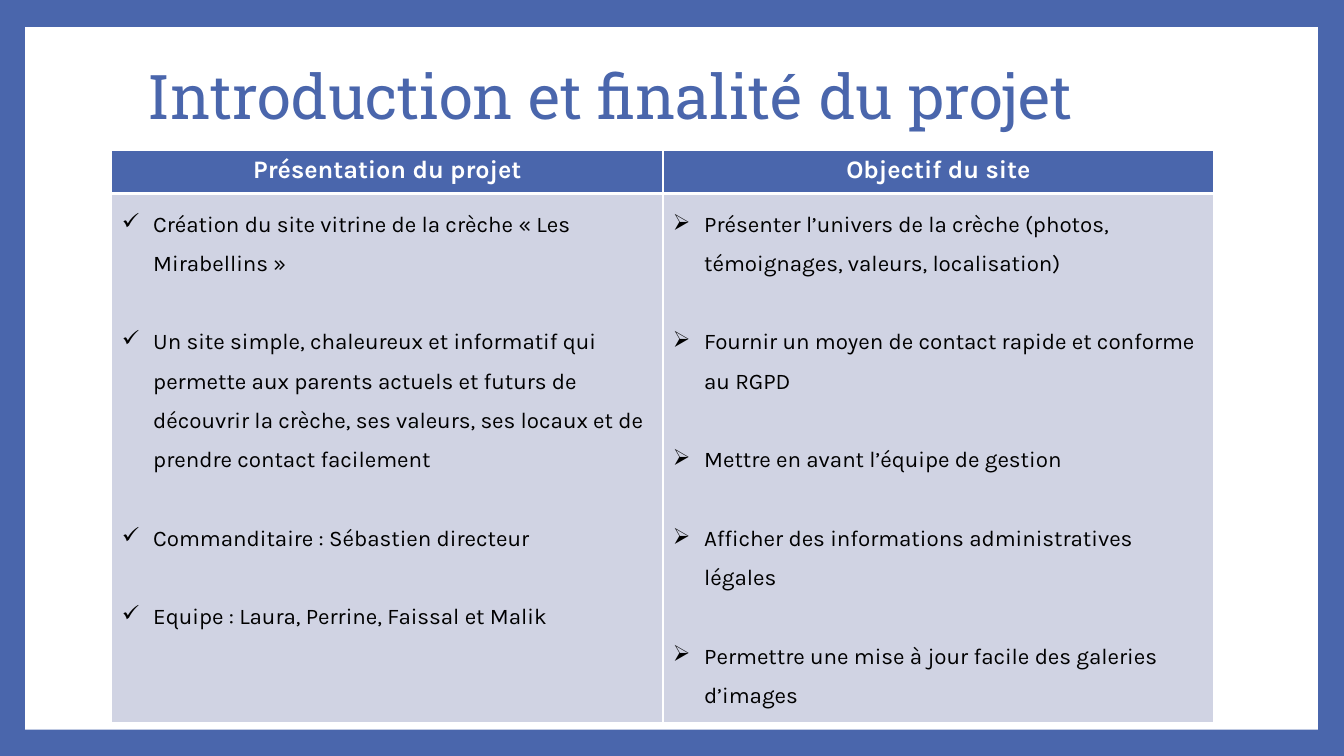
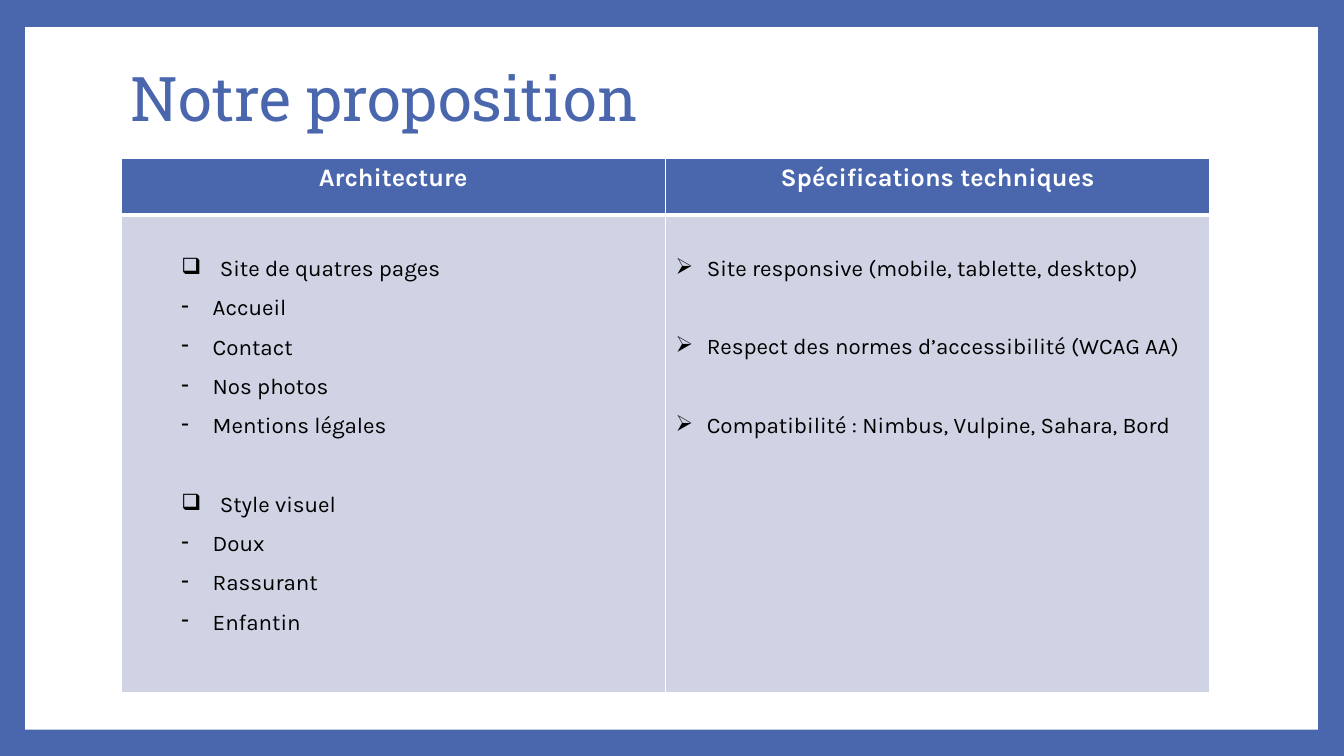
"""Build two framed slides, each with a title and a two-column table."""
from lxml.etree import SubElement
from pptx import Presentation
from pptx.dml.color import RGBColor
from pptx.enum.shapes import MSO_SHAPE
from pptx.enum.text import MSO_ANCHOR, PP_ALIGN
from pptx.oxml.ns import qn
from pptx.util import Inches, Pt

BLUE = RGBColor(0x4A, 0x66, 0xAC)
PALE = RGBColor(0xD0, 0xD3, 0xE3)
WHITE = RGBColor(0xFF, 0xFF, 0xFF)
BLACK = RGBColor(0x00, 0x00, 0x00)
TITLE_FONT = "Roboto Slab"
BODY_FONT = "Karla"
ITEM_GAP = Pt(28)

BULLETS = {
    "check": {"mark": "✓", "level": 0, "left": 0.31, "hang": 0.31},
    "arrow": {"mark": "➢", "level": 0, "left": 0.31, "hang": 0.31},
    "box": {"mark": "❑", "level": 1, "left": 0.88, "hang": 0.38},
    "dash": {"mark": "-", "level": 1, "left": 0.81, "hang": 0.31},
}

SLIDES = [
    {
        "title": "Introduction et finalité du projet",
        "title_at": (0.66, 0.25),
        "title_align": PP_ALIGN.CENTER,
        "table_at": (1.11, 1.49),
        "table_width": 10.93,
        "row_heights": (0.43, 5.09),
        "body_top": 0.05,
        "columns": [
            ("Présentation du projet", [
                ("check", "Création du site vitrine de la crèche « Les Mirabellins »"),
                ("check", "Un site simple, chaleureux et informatif qui permette aux "
                          "parents actuels et futurs de découvrir la crèche, ses valeurs, "
                          "ses locaux et de prendre contact facilement"),
                ("check", "Commanditaire : Sébastien directeur"),
                ("check", "Equipe : Laura, Perrine, Faissal et Malik"),
            ]),
            ("Objectif du site", [
                ("arrow", "Présenter l’univers de la crèche (photos, témoignages, "
                          "valeurs, localisation)"),
                ("arrow", "Fournir un moyen de contact rapide et conforme au RGPD"),
                ("arrow", "Mettre en avant l’équipe de gestion"),
                ("arrow", "Afficher des informations administratives légales"),
                ("arrow", "Permettre une mise à jour facile des galeries d’images"),
            ]),
        ],
    },
    {
        "title": "Notre proposition",
        "title_at": (1.2, 0.27),
        "title_align": PP_ALIGN.LEFT,
        "table_at": (1.2, 1.57),
        "table_width": 10.8,
        "row_heights": (0.56, 4.74),
        "body_top": 0.28,
        "columns": [
            ("Architecture", [
                ("box", "Site de quatres pages"),
                ("dash", "Accueil"),
                ("dash", "Contact"),
                ("dash", "Nos photos"),
                ("dash", "Mentions légales"),
                ("box", "Style visuel"),
                ("dash", "Doux"),
                ("dash", "Rassurant"),
                ("dash", "Enfantin"),
            ]),
            ("Spécifications techniques", [
                ("arrow", "Site responsive (mobile, tablette, desktop)"),
                ("arrow", "Respect des normes d’accessibilité (WCAG AA)"),
                ("arrow", "Compatibilité : Nimbus, Vulpine, Sahara, Bord"),
            ]),
        ],
    },
]


def set_font(para, name, size, color, bold=False):
    para.font.name = name
    para.font.size = Pt(size)
    para.font.color.rgb = color
    para.font.bold = bold


def style_cell(cell, fill, **thick_sides):
    properties = cell._tc.get_or_add_tcPr()
    for side in ("lnL", "lnR", "lnT", "lnB"):
        width = Pt(thick_sides.get(side, 1))
        line = SubElement(properties, qn(f"a:{side}"), w=str(width))
        solid = SubElement(line, qn("a:solidFill"))
        SubElement(solid, qn("a:srgbClr"), val=str(WHITE))
    cell.fill.solid()
    cell.fill.fore_color.rgb = fill


def set_bullet(para, mark, level, left, hang):
    para.level = level
    properties = para._p.get_or_add_pPr()
    properties.set("marL", str(Inches(left)))
    properties.set("indent", str(-Inches(hang)))
    SubElement(properties, qn("a:buChar"), char=mark)


def fill_header(cell, heading):
    style_cell(cell, BLUE, lnB=3)
    para = cell.text_frame.paragraphs[0]
    para.text = heading
    para.alignment = PP_ALIGN.CENTER
    set_font(para, BODY_FONT, 18, WHITE, bold=True)


def fill_body(cell, items, top):
    style_cell(cell, PALE, lnT=3)
    cell.margin_top = Inches(top)
    frame = cell.text_frame
    for index, (kind, text) in enumerate(items):
        para = frame.add_paragraph() if index else frame.paragraphs[0]
        para.text = text
        para.line_spacing = 1.5
        if index and kind != "dash":
            para.space_before = ITEM_GAP
        set_font(para, BODY_FONT, 16, BLACK)
        set_bullet(para, **BULLETS[kind])


def add_framed_page(deck):
    page = deck.slides.add_slide(deck.slide_layouts[6])
    page.background.fill.solid()
    page.background.fill.fore_color.rgb = BLUE
    panel = page.shapes.add_shape(
        MSO_SHAPE.RECTANGLE, Inches(0.25), Inches(0.27), Inches(12.82), Inches(6.97))
    panel.shadow.inherit = False
    panel.fill.solid()
    panel.fill.fore_color.rgb = WHITE
    panel.line.fill.background()
    return page


def add_title(page, text, at, align):
    box = page.shapes.add_textbox(*map(Inches, at), Inches(10.8), Inches(1.48))
    frame = box.text_frame
    frame.word_wrap = True
    frame.vertical_anchor = MSO_ANCHOR.MIDDLE
    para = frame.paragraphs[0]
    para.text = text
    para.alignment = align
    para.line_spacing = 0.9
    set_font(para, TITLE_FONT, 44, BLUE)


def add_columns(page, content):
    columns = content["columns"]
    heights = content["row_heights"]
    table = page.shapes.add_table(
        len(heights), len(columns), *map(Inches, content["table_at"]),
        Inches(content["table_width"]), Inches(sum(heights))).table
    table.horz_banding = False
    for row, height in zip(table.rows, heights):
        row.height = Inches(height)
    for index, (heading, items) in enumerate(columns):
        fill_header(table.cell(0, index), heading)
        fill_body(table.cell(1, index), items, content["body_top"])


def main():
    deck = Presentation()
    deck.slide_width = Inches(13.33)
    deck.slide_height = Inches(7.5)
    for content in SLIDES:
        page = add_framed_page(deck)
        add_title(page, content["title"], content["title_at"], content["title_align"])
        add_columns(page, content)
    deck.save("out.pptx")


if __name__ == "__main__":
    main()
